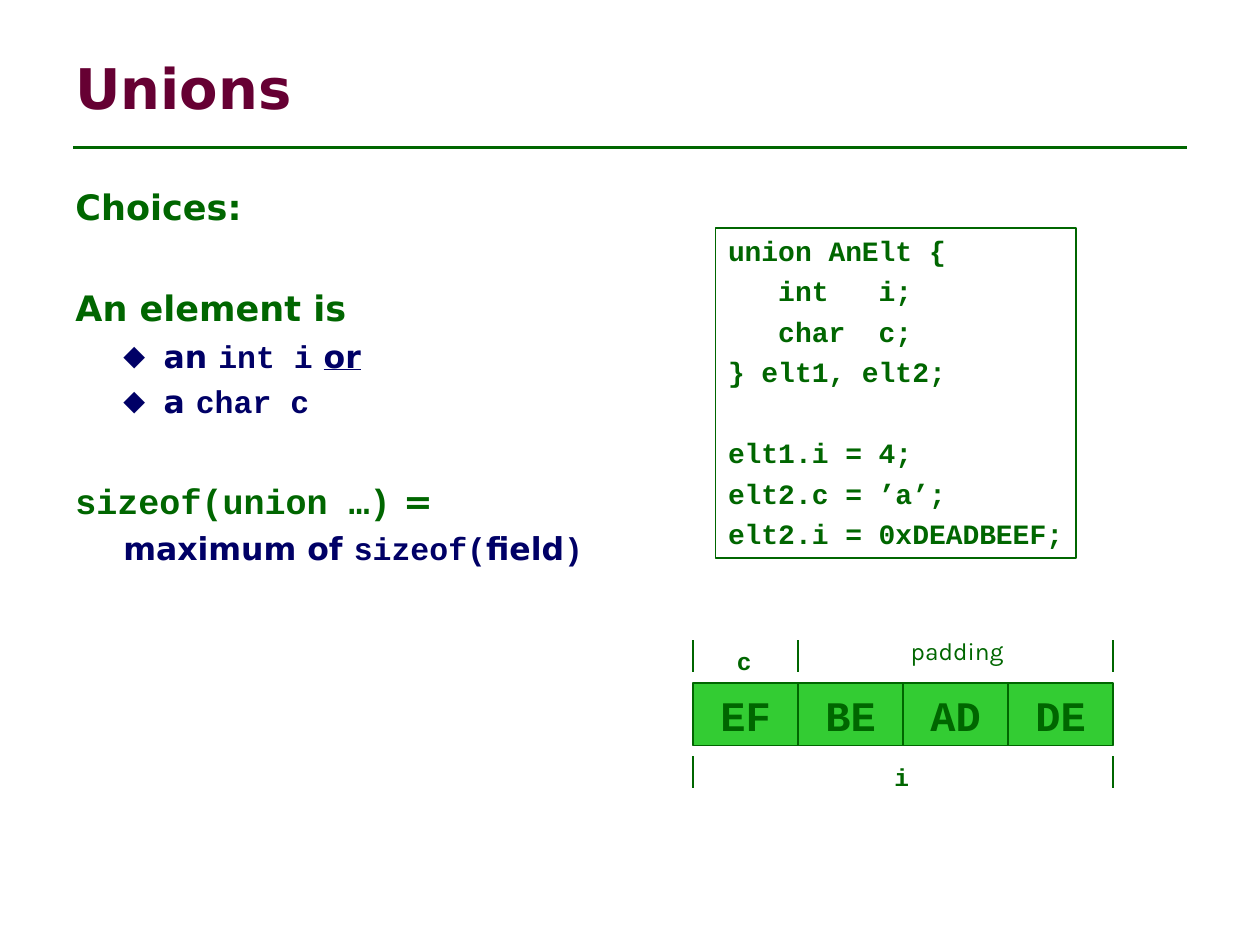
from lxml.etree import SubElement
from pptx import Presentation
from pptx.dml.color import RGBColor
from pptx.enum.shapes import MSO_CONNECTOR as Connector, MSO_SHAPE as Shape
from pptx.enum.text import MSO_ANCHOR as Anchor, PP_ALIGN as Align
from pptx.oxml.ns import qn
from pptx.util import Inches, Pt

COLORS = {"title": "660033", "green": "006600", "navy": "000066", "cell": "33CC33"}
SANS, MONO, LABEL = "DejaVu Sans", "Courier New", "Karla"


class Page:
    def __init__(self, deck):
        self.slide = deck.slides.add_slide(deck.slide_layouts[6])

    def color(self, name):
        return RGBColor.from_string(COLORS[name])

    def style(self, span, size, font=SANS, color="green", bold=True):
        span.font.size = Pt(size)
        span.font.name = font
        span.font.bold = bold
        span.font.color.rgb = self.color(color)

    def frame(self, box, wrap=True):
        frame = box.text_frame
        frame.word_wrap = wrap
        frame.margin_left = frame.margin_right = Inches(0.1)
        frame.margin_top = frame.margin_bottom = Inches(0.05)
        frame.vertical_anchor = Anchor.TOP
        return frame

    def text(self, x, y, width, height, words, size, font=SANS, color="green", bold=True, wrap=False):
        box = self.slide.shapes.add_textbox(Inches(x), Inches(y), Inches(width), Inches(height))
        frame = self.frame(box, wrap)
        frame.text = words
        self.style(frame.paragraphs[0].runs[0], size, font, color, bold)
        return frame

    def line(self, x1, y1, x2, y2, width=0.75):
        line = self.slide.shapes.add_connector(
            Connector.STRAIGHT, Inches(x1), Inches(y1), Inches(x2), Inches(y2))
        line.line.color.rgb = self.color("green")
        line.line.width = Pt(width)
        SubElement(line._element.spPr, qn("a:effectLst"))

    def rectangle(self, x, y, width, height, fill=None):
        box = self.slide.shapes.add_shape(
            Shape.RECTANGLE, Inches(x), Inches(y), Inches(width), Inches(height))
        box.shadow.inherit = False
        if fill:
            box.fill.solid()
            box.fill.fore_color.rgb = self.color(fill)
        else:
            box.fill.background()
        box.line.color.rgb = self.color("green")
        box.line.width = Pt(0.75)
        return box

    def cell(self, x, y, width, height, words):
        frame = self.frame(self.rectangle(x, y, width, height, "cell"))
        frame.text = words
        para = frame.paragraphs[0]
        para.alignment = Align.CENTER
        self.style(para.runs[0], 24, MONO)

    def code(self, x, y, width, height, blocks):
        frame = self.frame(self.rectangle(x, y, width, height), wrap=False)
        frame.margin_top = frame.margin_bottom = Inches(0.04)
        frame.text = "\n".join(line for block in blocks for line in block)
        for para in frame.paragraphs:
            para.alignment = Align.LEFT
            para.space_before = Pt(4)
            self.style(para.runs[0], 16, MONO)
        frame.paragraphs[0].space_before = Pt(0)
        frame.paragraphs[len(blocks[0])].space_before = Pt(27)

    def indent(self, para, bullet):
        props = para._p.get_or_add_pPr()
        props.set("marL", str(Inches(0.7)))
        props.set("indent", str(Inches(-0.32)))
        if bullet:
            color = SubElement(props, qn("a:buClr"))
            SubElement(color, qn("a:srgbClr"), val=COLORS["navy"])
            SubElement(props, qn("a:buSzPct"), val="90000")
            SubElement(props, qn("a:buFont"), typeface=SANS)
            SubElement(props, qn("a:buChar"), char="◆")
        else:
            SubElement(props, qn("a:buNone"))

    def outline(self, x, y, width, height, items):
        box = self.slide.shapes.add_textbox(Inches(x), Inches(y), Inches(width), Inches(height))
        frame = self.frame(box)
        for number, (kind, spans) in enumerate(items):
            para = frame.paragraphs[0] if number == 0 else frame.add_paragraph()
            heading = kind == "heading"
            if not heading:
                self.indent(para, kind == "bullet")
            para.space_before = Pt(0 if number == 0 else 34 if heading else 4.5)
            size, color = (20, "green") if heading else (18, "navy")
            for words, font, underline in spans:
                span = para.add_run()
                span.text = words
                self.style(span, size, font, color)
                if underline:
                    span.font.underline = True


def main():
    deck = Presentation()
    deck.slide_width, deck.slide_height = Inches(10), Inches(7.5)
    page = Page(deck)

    page.line(0.58, 1.17, 9.42, 1.17, 1.5)
    title = page.text(0.5, 0.3, 9, 0.78, "Unions", 32, color="title", wrap=True)
    title.vertical_anchor = Anchor.MIDDLE

    page.outline(0.5, 1.42, 4.41, 5.28, [
        ("heading", [("Choices:", SANS, False)]),
        ("heading", [("An element is", SANS, False)]),
        ("bullet", [("an ", SANS, False), ("int i", MONO, False),
                    (" ", SANS, False), ("or", SANS, True)]),
        ("bullet", [("a ", SANS, False), ("char c", MONO, False)]),
        ("heading", [("sizeof(union …)", MONO, False), (" =", SANS, False)]),
        ("plain", [("maximum of ", SANS, False), ("sizeof(", MONO, False),
                   ("field", SANS, False), (")", MONO, False)]),
    ])

    page.code(5.68, 1.81, 2.86, 2.62, [
        ["union AnElt {", "   int   i;", "   char  c;", "} elt1, elt2;"],
        ["elt1.i = 4;", "elt2.c = ’a’;", "elt2.i = 0xDEADBEEF;"],
    ])

    left, cell_width = 5.5, 2.5 / 3
    values = ["EF", "BE", "AD", "DE"]
    for column, value in enumerate(values):
        page.cell(left + column * cell_width, 5.42, cell_width, 0.5, value)
    for column, top in [(0, 5.08), (1, 5.08), (4, 5.08), (0, 6), (4, 6)]:
        x = left + column * cell_width
        page.line(x, top, x, top + 0.25)

    page.text(5.75, 5.08, 0.31, 0.34, "c", 14, MONO)
    page.text(7, 6, 0.31, 0.34, "i", 14, MONO)
    page.text(7.13, 5, 0.96, 0.34, "padding", 14, LABEL, bold=False)

    deck.save("out.pptx")


if __name__ == "__main__":
    main()
